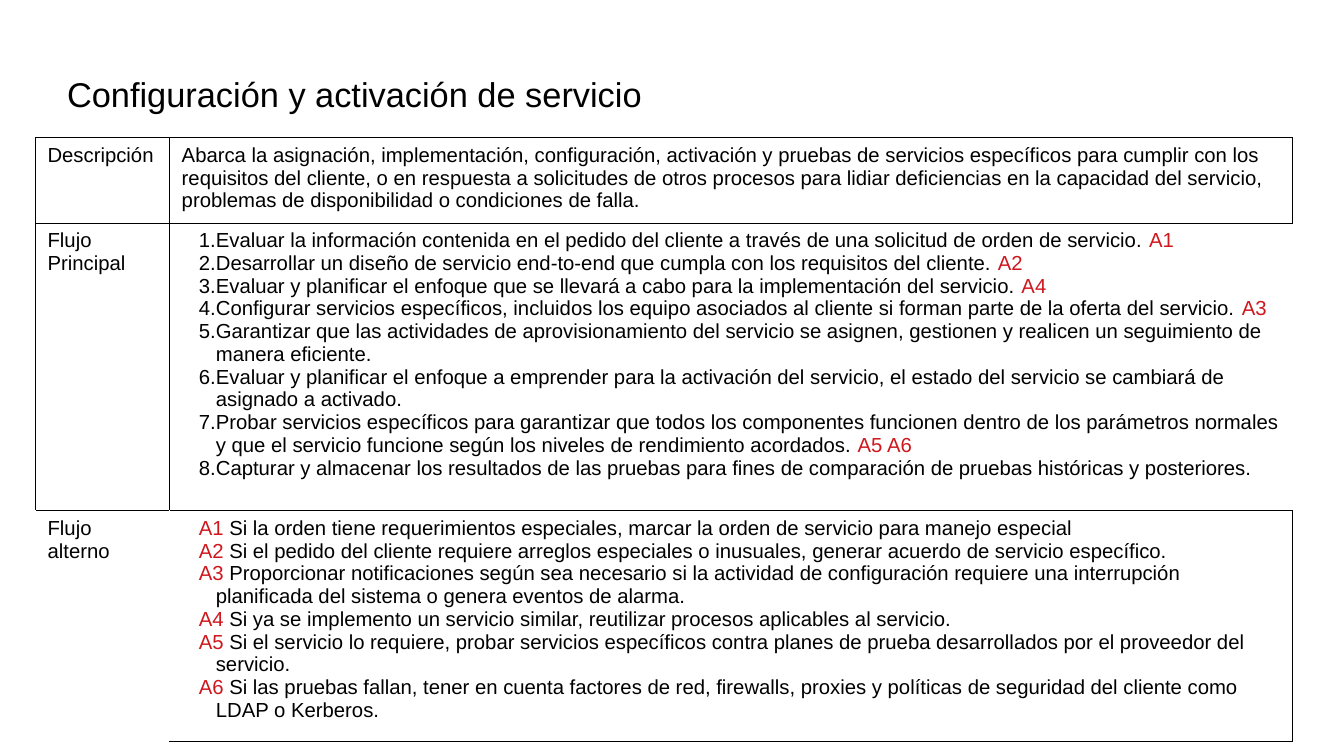
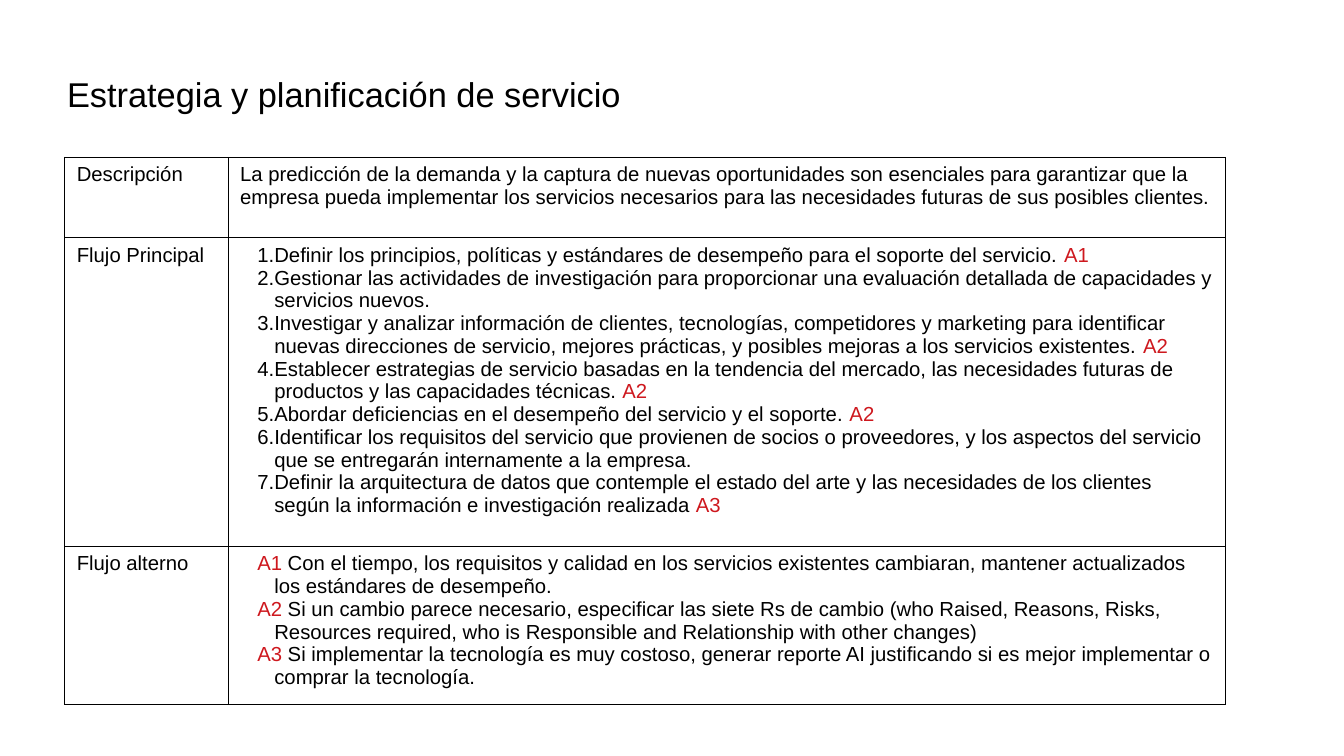
from lxml.etree import SubElement
from pptx import Presentation
from pptx.dml.color import RGBColor
from pptx.enum.text import MSO_ANCHOR, MSO_AUTO_SIZE, PP_ALIGN
from pptx.oxml.ns import qn
from pptx.util import Inches, Pt

FONT = "Arial"
BLACK = RGBColor(0x00, 0x00, 0x00)
WHITE = RGBColor(0xFF, 0xFF, 0xFF)
RED = RGBColor(0xCE, 0x18, 0x1E)
TITLE_SIZE, BODY_SIZE = Pt(20.3), Pt(12)
TITLE_BOX = (0.55, 0.47, 7.87, 0.59)
LINE, FAINT_LINE = (BLACK, Pt(0.57)), (WHITE, Pt(0.06))
SIDES = "LRTB"

# Main flow steps pair a text with the alternate flows it refers to;
# alternate flow steps pair a code with its text.
SLIDES = [
    {
        "title": "Configuración y activación de servicio",
        "at": (0.29, 1.13),
        "cols": (1.1, 9.21),
        "rows": (0.7, 2.36, 1.89),
        "faint": {(1, 1): "R", (2, 0): "LRB", (2, 1): "L"},
        "description": "Abarca la asignación, implementación, configuración, activación y pruebas de "
                       "servicios específicos para cumplir con los requisitos del cliente, o en respuesta "
                       "a solicitudes de otros procesos para lidiar deficiencias en la capacidad del "
                       "servicio, problemas de disponibilidad o condiciones de falla.",
        "main": [
            ("Evaluar la información contenida en el pedido del cliente a través de una solicitud de "
             "orden de servicio. ", "A1"),
            ("Desarrollar un diseño de servicio end-to-end que cumpla con los requisitos del cliente. ",
             "A2"),
            ("Evaluar y planificar el enfoque que se llevará a cabo para la implementación del "
             "servicio. ", "A4"),
            ("Configurar servicios específicos, incluidos los equipo asociados al cliente si forman "
             "parte de la oferta del servicio. ", "A3"),
            ("Garantizar que las actividades de aprovisionamiento del servicio se asignen, gestionen y "
             "realicen un seguimiento de manera eficiente.", ""),
            ("Evaluar y planificar el enfoque a emprender para la activación del servicio, el estado "
             "del servicio se cambiará de asignado a activado.", ""),
            ("Probar servicios específicos para garantizar que todos los componentes funcionen dentro "
             "de los parámetros normales y que el servicio funcione según los niveles de rendimiento "
             "acordados. ", "A5 A6"),
            ("Capturar y almacenar los resultados de las pruebas para fines de comparación de pruebas "
             "históricas y posteriores.", ""),
        ],
        "alternate": [
            ("A1", " Si la orden tiene requerimientos especiales, marcar la orden de servicio para "
                   "manejo especial"),
            ("A2", " Si el pedido del cliente requiere arreglos especiales o inusuales, generar acuerdo "
                   "de servicio específico."),
            ("A3", " Proporcionar notificaciones según sea necesario si la actividad de configuración "
                   "requiere una interrupción planificada del sistema o genera eventos de alarma."),
            ("A4", " Si ya se implemento un servicio similar, reutilizar procesos aplicables al "
                   "servicio."),
            ("A5", " Si el servicio lo requiere, probar servicios específicos contra planes de prueba "
                   "desarrollados por el proveedor del servicio."),
            ("A6", " Si las pruebas fallan, tener en cuenta factores de red, firewalls, proxies y "
                   "políticas de seguridad del cliente como LDAP o Kerberos."),
        ],
    },
    {
        "title": "Estrategia y planificación de servicio",
        "at": (0.53, 1.29),
        "cols": (1.34, 8.18),
        "rows": (0.66, 2.53, 1.3),
        "faint": {},
        "description": "La predicción de la demanda y la captura de nuevas oportunidades son esenciales "
                       "para garantizar que la empresa pueda implementar los servicios necesarios para "
                       "las necesidades futuras de sus posibles clientes.",
        "main": [
            ("Definir los principios, políticas y estándares de desempeño para el soporte del "
             "servicio. ", "A1"),
            ("Gestionar las actividades de investigación para proporcionar una evaluación detallada de "
             "capacidades y servicios nuevos.", ""),
            ("Investigar y analizar información de clientes, tecnologías, competidores y marketing para "
             "identificar nuevas direcciones de servicio, mejores prácticas, y posibles mejoras a los "
             "servicios existentes. ", "A2"),
            ("Establecer estrategias de servicio basadas en la tendencia del mercado, las necesidades "
             "futuras de productos y las capacidades técnicas. ", "A2"),
            ("Abordar deficiencias en el desempeño del servicio y el soporte. ", "A2"),
            ("Identificar los requisitos del servicio que provienen de socios o proveedores, y los "
             "aspectos del servicio que se entregarán internamente a la empresa.", ""),
            ("Definir la arquitectura de datos que contemple el estado del arte y las necesidades de "
             "los clientes según la información e investigación realizada ", "A3"),
        ],
        "alternate": [
            ("A1", " Con el tiempo, los requisitos y calidad en los servicios existentes cambiaran, "
                   "mantener actualizados los estándares de desempeño."),
            ("A2", " Si un cambio parece necesario, especificar las siete Rs de cambio (who Raised, "
                   "Reasons, Risks, Resources required, who is Responsible and Relationship with other "
                   "changes)"),
            ("A3", " Si implementar la tecnología es muy costoso, generar reporte AI justificando si es "
                   "mejor implementar o comprar la tecnología."),
        ],
    },
]


def add_run(p, text, color=BLACK, size=BODY_SIZE):
    r = p.add_run()
    r.text = text
    r.font.name, r.font.size, r.font.bold = FONT, size, False
    r.font.color.rgb = color


def hang(p, numbered):
    """Give the paragraph a hanging indent, with an automatic number if asked."""
    pPr = p._p.get_or_add_pPr()
    pPr.set("marL", str(Inches(0.28)))
    pPr.set("indent", str(Inches(-0.14)))
    if numbered:
        color = SubElement(pPr, qn("a:buClr"))
        SubElement(color, qn("a:srgbClr"), val=str(BLACK))
        SubElement(pPr, qn("a:buAutoNum"), type="arabicPeriod")
    else:
        SubElement(pPr, qn("a:buNone"))


def fill_cell(cell, paragraphs, hanging=False, numbered=False):
    """Write paragraphs, each a list of (text, color) runs."""
    tf = cell.text_frame
    for i, runs in enumerate(paragraphs):
        p = tf.add_paragraph() if i else tf.paragraphs[0]
        if hanging:
            hang(p, numbered)
        for text, color in runs:
            if text:
                add_run(p, text, color)


def style_cell(cell, faint):
    tcPr = cell._tc.get_or_add_tcPr()
    for side in SIDES:
        color, width = FAINT_LINE if side in faint else LINE
        ln = SubElement(tcPr, qn(f"a:ln{side}"), w=str(width))
        SubElement(SubElement(ln, qn("a:solidFill")), qn("a:srgbClr"), val=str(color))
    cell.fill.background()


def add_title(s, text):
    title = s.shapes.title
    title.left, title.top, title.width, title.height = map(Inches, TITLE_BOX)
    tf = title.text_frame
    tf.margin_left = tf.margin_top = tf.margin_right = tf.margin_bottom = 0
    tf.vertical_anchor, tf.auto_size, tf.word_wrap = MSO_ANCHOR.MIDDLE, MSO_AUTO_SIZE.NONE, True
    p = tf.paragraphs[0]
    p.alignment = PP_ALIGN.LEFT
    add_run(p, text, size=TITLE_SIZE)


def add_flow_table(s, data):
    cols, rows = data["cols"], data["rows"]
    box = map(Inches, (*data["at"], sum(cols), sum(rows)))
    table = s.shapes.add_table(len(rows), len(cols), *box).table
    table.first_row = table.horz_banding = False
    for column, width in zip(table.columns, cols):
        column.width = Inches(width)
    for row, height in zip(table.rows, rows):
        row.height = Inches(height)

    for i, label in enumerate(("Descripción", "Flujo Principal", "Flujo alterno")):
        fill_cell(table.cell(i, 0), [[(label, BLACK)]])
    fill_cell(table.cell(0, 1), [[(data["description"], BLACK)]])
    main = [[(text, BLACK), (codes, RED)] for text, codes in data["main"]]
    fill_cell(table.cell(1, 1), main, hanging=True, numbered=True)
    alternate = [[(code, RED), (text, BLACK)] for code, text in data["alternate"]]
    fill_cell(table.cell(2, 1), alternate, hanging=True)

    for i in range(len(rows)):
        for j in range(len(cols)):
            style_cell(table.cell(i, j), data["faint"].get((i, j), ""))


def main():
    prs = Presentation()
    prs.slide_width, prs.slide_height = Inches(11.02), Inches(6.2)
    title_only = prs.slide_layouts[5]
    for data in SLIDES:
        s = prs.slides.add_slide(title_only)
        add_title(s, data["title"])
        add_flow_table(s, data)
    prs.save("out.pptx")


if __name__ == "__main__":
    main()
